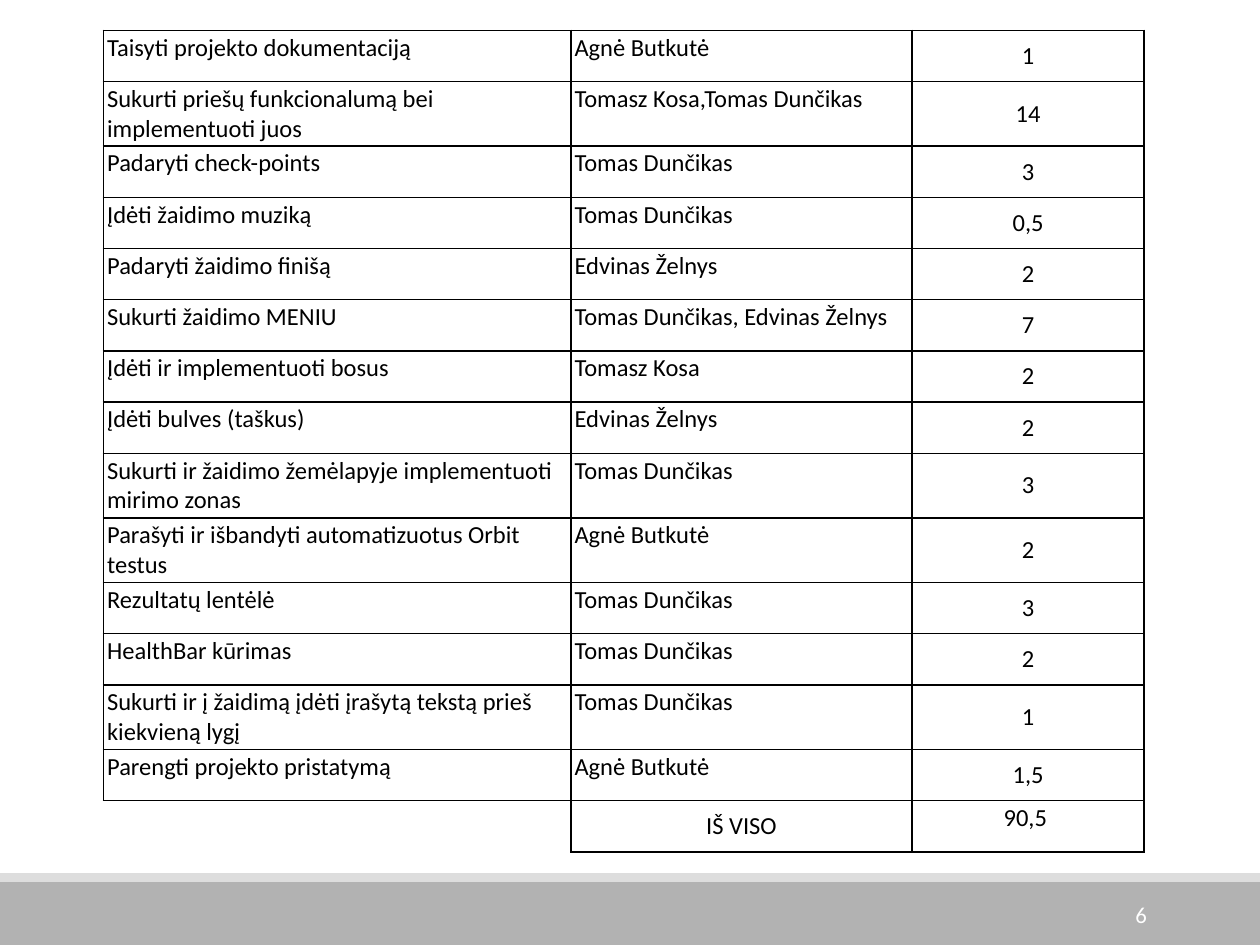
from pptx import Presentation
from pptx.dml.color import RGBColor
from pptx.enum.shapes import MSO_SHAPE
from pptx.enum.text import MSO_ANCHOR as Anchor, PP_ALIGN as Align
from pptx.oxml import parse_xml
from pptx.oxml.ns import nsdecls
from pptx.util import Inches, Pt

AGNE, TOMAS, TOMASZ, EDVINAS = (
    "Agnė Butkutė", "Tomas Dunčikas", "Tomasz Kosa", "Edvinas Želnys")
TASKS = [
    ("Taisyti projekto dokumentaciją", AGNE, "1"),
    ("Sukurti priešų funkcionalumą bei implementuoti juos", f"{TOMASZ},{TOMAS}", "14"),
    ("Padaryti check-points", TOMAS, "3"),
    ("Įdėti žaidimo muziką", TOMAS, "0,5"),
    ("Padaryti žaidimo finišą", EDVINAS, "2"),
    ("Sukurti žaidimo MENIU", f"{TOMAS}, {EDVINAS}", "7"),
    ("Įdėti ir implementuoti bosus", TOMASZ, "2"),
    ("Įdėti bulves (taškus)", EDVINAS, "2"),
    ("Sukurti ir žaidimo žemėlapyje implementuoti mirimo zonas", TOMAS, "3"),
    ("Parašyti ir išbandyti automatizuotus Orbit testus", AGNE, "2"),
    ("Rezultatų lentėlė", TOMAS, "3"),
    ("HealthBar kūrimas", TOMAS, "2"),
    ("Sukurti ir į žaidimą įdėti įrašytą tekstą prieš kiekvieną lygį", TOMAS, "1"),
    ("Parengti projekto pristatymą", AGNE, "1,5"),
]
TOTAL = ("", "IŠ VISO", "90,5 ")
LEFT, TOP = (Align.LEFT, Anchor.TOP)
CENTER, MIDDLE = (Align.CENTER, Anchor.MIDDLE)
TASK_FORMAT = [(LEFT, TOP), (LEFT, TOP), (CENTER, MIDDLE)]
TOTAL_FORMAT = [(LEFT, TOP), (CENTER, MIDDLE), (CENTER, TOP)]
COLUMNS = [3.71, 2.71, 1.84]
TABLE_LEFT, TABLE_TOP, TABLE_HEIGHT = 0.82, 0.24, 6.1
BANDS = [(7, 0.5, "B2B2B2"), (6.93, 0.07, "DDDDDD")]
CELL_MARGINS = {"margin_left": 0.03, "margin_right": 0.03,
                "margin_top": 0.02, "margin_bottom": 0.02}


def rgb(value):
    return RGBColor.from_string(value)


def write(p, text, size, color, align):
    p.alignment = align
    r = p.add_run()
    r.text = text
    r.font.name, r.font.size = "Calibri", Pt(size)
    r.font.color.rgb = rgb(color)


def add_borders(cell, sides):
    """Draw black 1 pt lines on the named sides and none on the others."""
    tc_pr = cell._tc.get_or_add_tcPr()
    for i, side in enumerate("LRTB"):
        paint = ('<a:solidFill><a:srgbClr val="000000"/></a:solidFill>'
                 if side in sides else "<a:noFill/>")
        line = f'<a:ln{side} {nsdecls("a")} w="{Pt(1)}">{paint}</a:ln{side}>'
        tc_pr.insert(i, parse_xml(line))


def add_band(s, top, height, color):
    sp = s.shapes.add_shape(MSO_SHAPE.RECTANGLE, 0, Inches(top),
                            Inches(10), Inches(height))
    sp.shadow.inherit = False
    sp.fill.solid()
    sp.fill.fore_color.rgb = rgb(color)
    sp.line.fill.background()


def add_task_table(s):
    rows = TASKS + [TOTAL]
    table = s.shapes.add_table(
        len(rows), len(COLUMNS), Inches(TABLE_LEFT), Inches(TABLE_TOP),
        Inches(sum(COLUMNS)), Inches(TABLE_HEIGHT)).table
    table.first_row = table.horz_banding = False
    for column, width in zip(table.columns, COLUMNS):
        column.width = Inches(width)
    for i, row in enumerate(rows):
        formats = TOTAL_FORMAT if row is TOTAL else TASK_FORMAT
        for j, (text, (align, anchor)) in enumerate(zip(row, formats)):
            cell = table.cell(i, j)
            cell.fill.background()
            cell.vertical_anchor = anchor
            for name, value in CELL_MARGINS.items():
                setattr(cell, name, Inches(value))
            add_borders(cell, "LRTB" if text else "TR")
            if text:
                write(cell.text_frame.paragraphs[0], text, 14, "000000", align)


def add_page_number(s, number):
    sp = s.shapes.add_textbox(Inches(8.12), Inches(7.06), Inches(1.08), Inches(0.4))
    tf = sp.text_frame
    tf.word_wrap = True
    tf.vertical_anchor = Anchor.MIDDLE
    write(tf.paragraphs[0], number, 13, "FFFFFF", Align.RIGHT)


def main():
    prs = Presentation()
    prs.slide_width, prs.slide_height = Inches(10), Inches(7.5)
    s = prs.slides.add_slide(prs.slide_layouts[6])
    for band in BANDS:
        add_band(s, *band)
    add_task_table(s)
    add_page_number(s, "6")
    prs.save("out.pptx")


if __name__ == "__main__":
    main()
